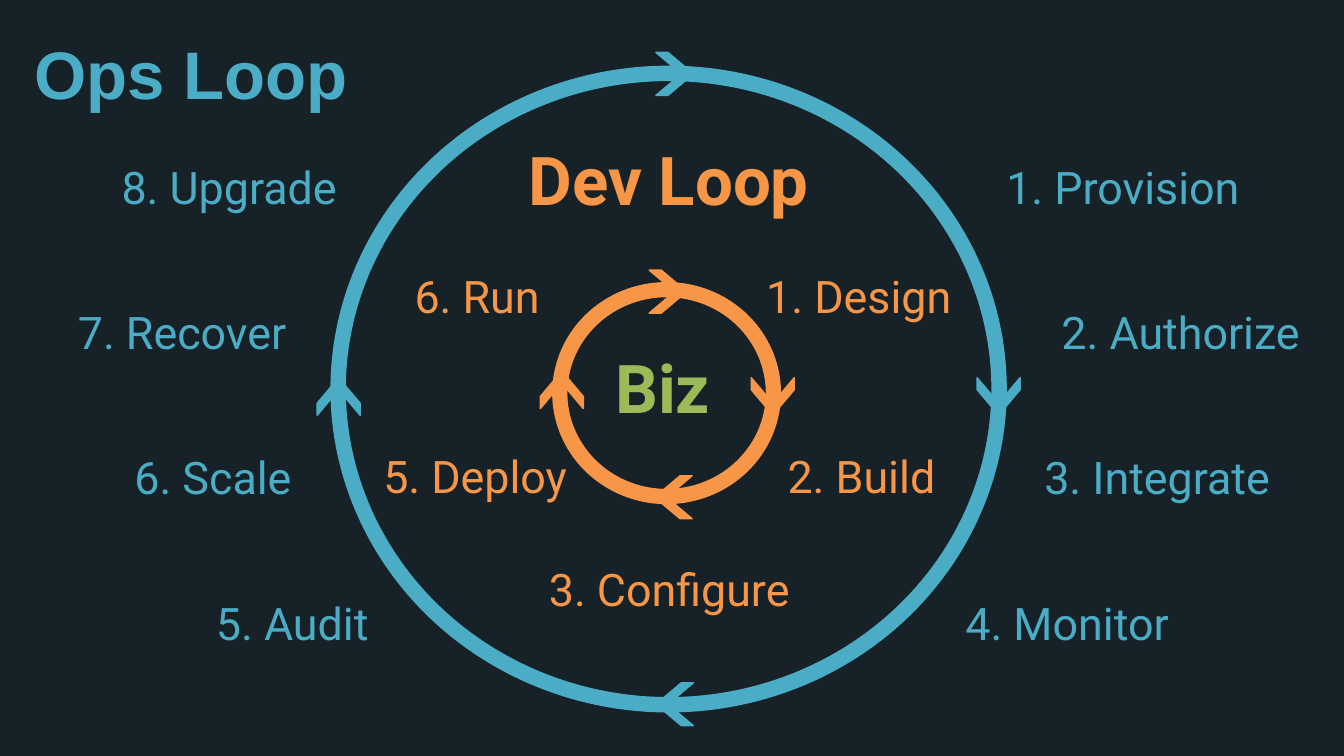
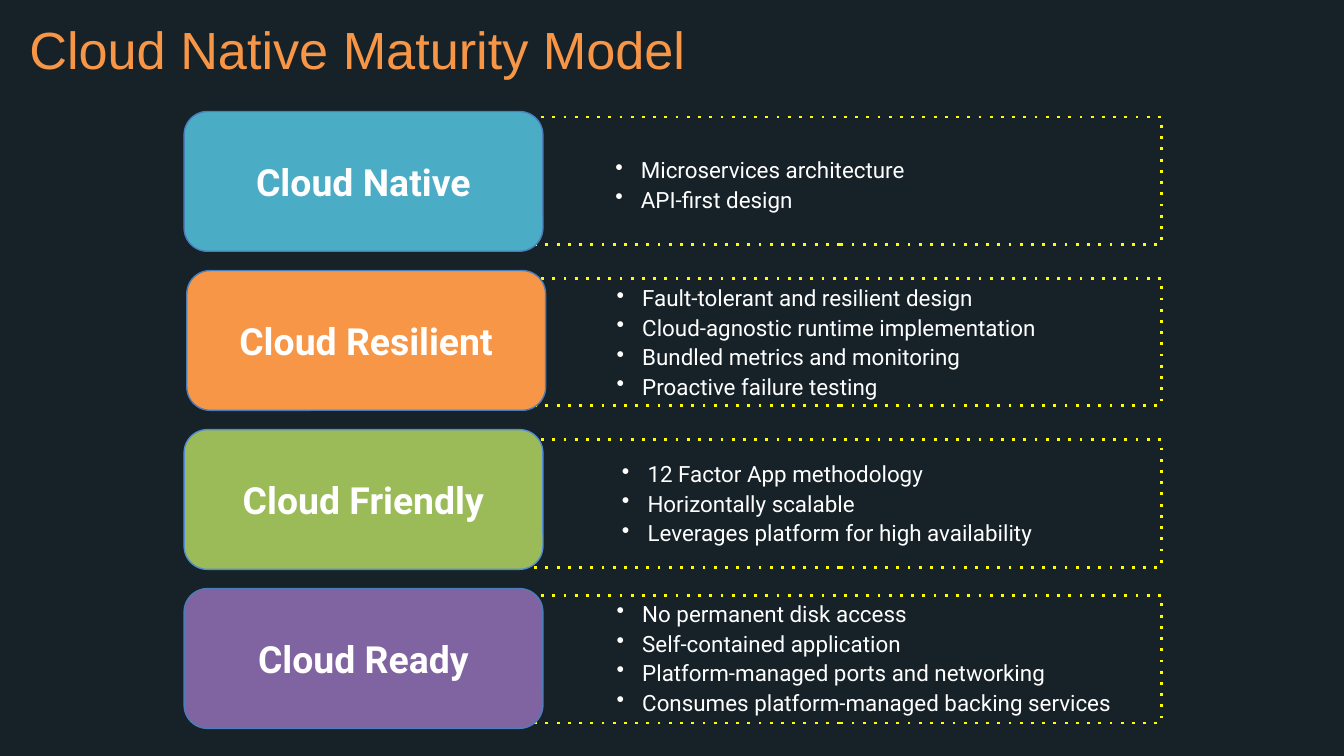
"""Build the Ops/Dev loop diagram and the cloud native maturity model slides."""
import lxml.etree
import pptx
import pptx.dml.color
import pptx.enum.dml
import pptx.enum.shapes
import pptx.enum.text
import pptx.oxml.ns
import pptx.util

Inches, Pt = pptx.util.Inches, pptx.util.Pt
SHAPE = pptx.enum.shapes.MSO_SHAPE
ALIGN = pptx.enum.text.PP_ALIGN
ANCHOR = pptx.enum.text.MSO_ANCHOR
qn = pptx.oxml.ns.qn

BACKGROUND, TEAL, ORANGE, GREEN = "162128", "4BACC6", "F79646", "9BBB59"
PURPLE, BLUE, YELLOW, WHITE = "8064A2", "4F81BD", "FFFF00", "FFFFFF"
TILE_EDGE, FRIENDLY_EDGE = "4A7DBA", "538CD5"

TITLE = {"name": "Arial"}
STEP = {"name": "Roboto", "size": Pt(24)}
HEADING = {"name": "Roboto", "size": Pt(36), "bold": True}
TILE_TEXT = {"name": "Roboto", "size": Pt(20), "bold": True}
BULLET_TEXT = {"name": "Roboto", "size": Pt(12)}
CENTERED = {"alignment": ALIGN.CENTER}
SPACED = {"line_spacing": 1.1}

# Each loop: colour, ring fill, ring box, ring thickness, arrow centres clockwise from
# the top, top of the first text row, row pitch and steps as (text, left, width, row).
LOOPS = [
    {
        "color": ORANGE, "fill": ORANGE, "ring": (4.14, 2.13, 1.64, 1.59), "thickness": 0.032,
        "arrows": [(4.97, 2.17), (5.75, 2.95), (5.01, 3.7), (4.18, 2.9)],
        "rows": [1.88, 3.22, 4.06],
        "steps": [("1. Design", 5.58, 1.62, 0), ("2. Build", 5.63, 1.56, 1),
                  ("3. Configure", 3.93, 2.1, 2), ("5. Deploy", 2.71, 1.65, 1),
                  ("6. Run", 2.9, 1.3, 0)],
    },
    {
        "color": TEAL, "fill": BLUE, "ring": (2.49, 0.52, 4.97, 4.75), "thickness": 0.011,
        "arrows": [(5.02, 0.55), (7.43, 2.95), (5.02, 5.24), (2.52, 2.95)],
        "rows": [1.07 + 1.08 * row for row in range(4)],
        "steps": [("1. Provision", 7.26, 2.19, 0), ("2. Authorize", 7.78, 2.01, 1),
                  ("3. Integrate", 7.58, 2.06, 2), ("4. Monitor", 6.96, 1.96, 3),
                  ("5. Audit", 1.36, 1.63, 3), ("6. Scale", 0.85, 1.47, 2),
                  ("7. Recover", 0.43, 1.85, 1), ("8. Upgrade", 0.73, 1.95, 0)],
    },
]
ARROW_WIDTH, ARROW_HEIGHT = 0.28, 0.32

LEVELS = [
    {"name": "Cloud Native", "fill": TEAL, "edge": TILE_EDGE, "tile_left": 1.37,
     "panel_top": 0.87, "bullets_at": (4.48, 0.89),
     "bullets": ["Microservices architecture", "API-first design"]},
    {"name": "Cloud Resilient", "fill": ORANGE, "edge": TILE_EDGE, "tile_left": 1.39,
     "panel_top": 2.07, "bullets_at": (4.49, 2.06),
     "bullets": ["Fault-tolerant and resilient design", "Cloud-agnostic runtime implementation",
                 "Bundled metrics and monitoring", "Proactive failure testing"]},
    {"name": "Cloud Friendly", "fill": GREEN, "edge": FRIENDLY_EDGE, "tile_left": 1.37,
     "panel_top": 3.27, "bullets_at": (4.53, 3.26),
     "bullets": ["12 Factor App methodology", "Horizontally scalable",
                 "Leverages platform for high availability"]},
    {"name": "Cloud Ready", "fill": PURPLE, "edge": TILE_EDGE, "tile_left": 1.37,
     "panel_top": 4.43, "bullets_at": (4.49, 4.41),
     "bullets": ["No permanent disk access", "Self-contained application",
                 "Platform-managed ports and networking",
                 "Consumes platform-managed backing services"]},
]
FIRST_TILE, LAST_TILE = 0.83, 4.38


def rgb(value):
    return pptx.dml.color.RGBColor.from_string(value)


def apply(target, values):
    for name, value in values.items():
        setattr(target, name, value)


def add_bullet(paragraph, color):
    properties = paragraph._p.get_or_add_pPr()
    properties.set("marL", str(Inches(0.19)))
    properties.set("indent", str(-Inches(0.19)))
    bullet_color = lxml.etree.SubElement(properties, qn("a:buClr"))
    lxml.etree.SubElement(bullet_color, qn("a:srgbClr"), val=color)
    lxml.etree.SubElement(properties, qn("a:buChar"), char="•")


def write(shape, lines, color, font, layout, anchor=ANCHOR.MIDDLE, bulleted=False):
    frame = shape.text_frame
    apply(frame, {"word_wrap": True, "vertical_anchor": anchor})
    for index, line in enumerate(lines):
        paragraph = frame.add_paragraph() if index else frame.paragraphs[0]
        if bulleted:
            add_bullet(paragraph, color)
        apply(paragraph, layout)
        run = paragraph.add_run()
        run.text = line
        apply(run.font, font)
        run.font.color.rgb = rgb(color)


def add_text(shapes, box, lines, *style, **options):
    write(shapes.add_textbox(*map(Inches, box)), lines, *style, **options)


def add_figure(shapes, kind, box, fill, edge, width, adjustment=None):
    shape = shapes.add_shape(kind, *map(Inches, box))
    shape.shadow.inherit = False
    if fill:
        shape.fill.solid()
        shape.fill.fore_color.rgb = rgb(fill)
    else:
        shape.fill.background()
    shape.line.color.rgb = rgb(edge)
    shape.line.width = Pt(width)
    if adjustment is not None:
        shape.adjustments[0] = adjustment
    return shape


def add_slide(presentation, title, box, color, font):
    slide = presentation.slides.add_slide(presentation.slide_layouts[6])
    slide.background.fill.solid()
    slide.background.fill.fore_color.rgb = rgb(BACKGROUND)
    add_text(slide.shapes, box, [title], color, {**TITLE, **font}, {}, anchor=ANCHOR.TOP)
    return slide


def add_loop(shapes, loop):
    color = loop["color"]
    add_figure(shapes, SHAPE.DONUT, loop["ring"], loop["fill"], color, 4.5, loop["thickness"])
    for quarter, (x, y) in enumerate(loop["arrows"]):
        box = (x - ARROW_WIDTH / 2, y - ARROW_HEIGHT / 2, ARROW_WIDTH, ARROW_HEIGHT)
        arrow = add_figure(shapes, SHAPE.CHEVRON, box, color, color, 0.75, 0.677)
        arrow.rotation = 90 * quarter
    for text, left, width, row in loop["steps"]:
        box = (left, loop["rows"][row], width, 0.6)
        add_text(shapes, box, [text], color, STEP, {**CENTERED, **SPACED})


def add_level(shapes, level, tile_top):
    panel = add_figure(shapes, SHAPE.RECTANGLE, (3.86, level["panel_top"], 4.78, 0.95),
                       None, YELLOW, 1.5)
    panel.line.dash_style = pptx.enum.dml.MSO_LINE.ROUND_DOT
    for dash in panel.element.iter(qn("a:prstDash")):
        dash.set("val", "dot")
    tile = add_figure(shapes, SHAPE.ROUNDED_RECTANGLE, (level["tile_left"], tile_top, 2.67, 1.04),
                      level["fill"], level["edge"], 0.75)
    write(tile, [level["name"]], WHITE, TILE_TEXT, CENTERED)
    add_text(shapes, (*level["bullets_at"], 4.23, 0.95), level["bullets"], WHITE,
             BULLET_TEXT, SPACED, bulleted=True)


def main():
    presentation = pptx.Presentation()
    presentation.slide_width = Inches(10)
    presentation.slide_height = Inches(10) * 9 // 16

    loops = add_slide(presentation, "Ops Loop", (0.16, 0.19, 3.46, 0.52), TEAL,
                      {"size": Pt(36), "bold": True})
    for loop in LOOPS:
        add_loop(loops.shapes, loop)
    add_text(loops.shapes, (3.62, 1.03, 2.71, 0.54), ["Dev Loop"], ORANGE, HEADING,
             {**CENTERED, **SPACED})
    add_text(loops.shapes, (4.48, 2.53, 0.96, 0.71), ["Biz"], GREEN, HEADING, {},
             anchor=ANCHOR.TOP)

    maturity = add_slide(presentation, "Cloud Native Maturity Model", (0.12, 0.08, 9.62, 0.61),
                         ORANGE, {"size": Pt(28)})
    pitch = (LAST_TILE - FIRST_TILE) / (len(LEVELS) - 1)
    for index, level in enumerate(LEVELS):
        group = maturity.shapes.add_group_shape()
        add_level(group.shapes, level, FIRST_TILE + pitch * index)

    presentation.save("out.pptx")


if __name__ == "__main__":
    main()
